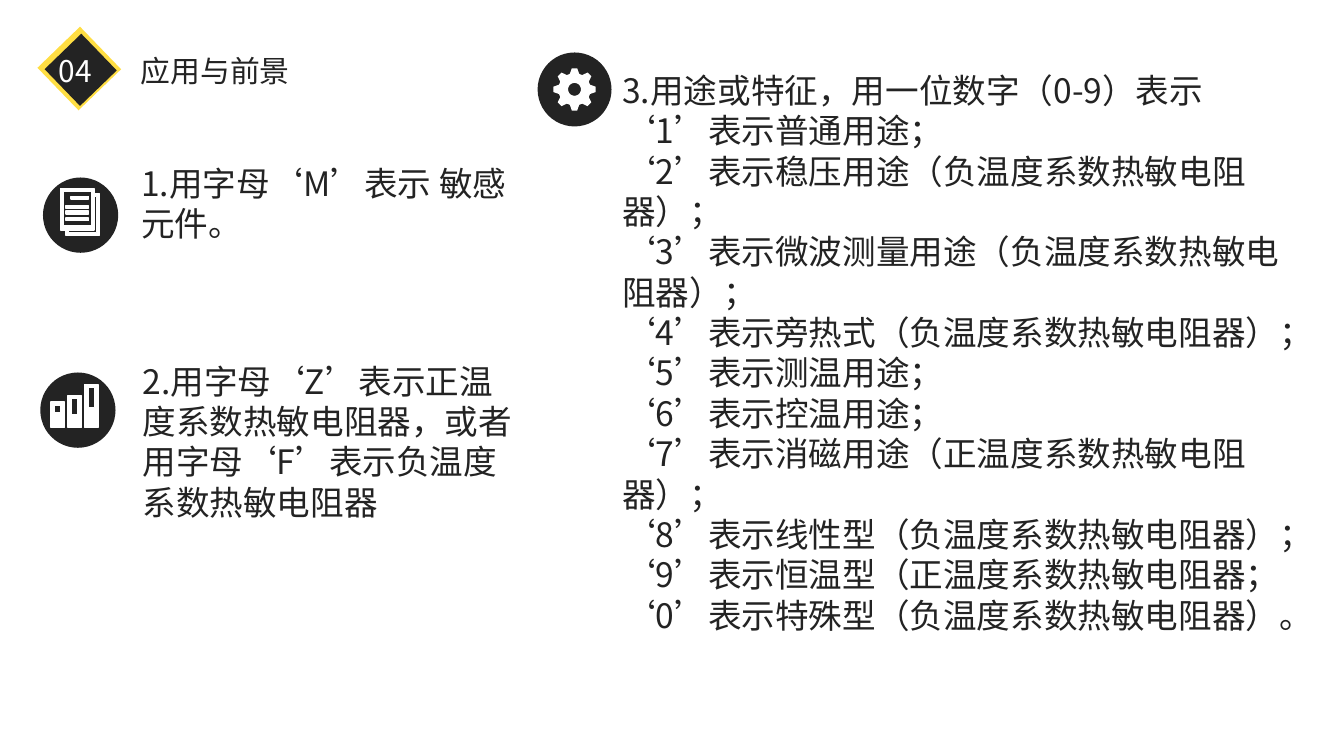
from dataclasses import dataclass
from math import cos, pi, sin

from lxml import etree
from pptx import Presentation
from pptx import util as u
from pptx.dml.color import RGBColor
from pptx.enum import shapes, text
from pptx.oxml.ns import qn

DARK = RGBColor(0x23, 0x23, 0x23)
GOLD = RGBColor(0xFF, 0xDE, 0x43)
WHITE = RGBColor(0xFF, 0xFF, 0xFF)
FACE = "Noto Sans CJK SC"
CELL = u.Inches(0.1)  # the slide is a grid of 100 columns by 55.1 rows
COLS, ROWS = 100, 55.1
FINE = 100  # outline steps in one cell

Point = tuple[float, float]
Ring = list[Point]


@dataclass
class Box:
    col: float
    row: float
    wide: float
    high: float

    def emu(self) -> list[int]:
        return [round(n * CELL) for n in (self.col, self.row, self.wide, self.high)]

    def ring(self) -> Ring:
        right, low = self.col + self.wide, self.row + self.high
        return [(self.col, self.row), (right, self.row), (right, low), (self.col, low)]


@dataclass
class Note:
    box: Box
    lines: list[str]
    size: int = 18
    color: RGBColor = DARK
    wrap: bool = True
    pad: Point = (0.7, 0.4)


def paint(shape, fill: RGBColor, edge: float = 0) -> None:
    shape.shadow.inherit = False
    shape.fill.solid()
    shape.fill.fore_color.rgb = fill
    if edge:
        shape.line.color.rgb = fill
        shape.line.width = u.Pt(edge)
    else:
        shape.line.fill.background()


def solid(slide, kind, box: Box, fill: RGBColor, turn: float = 0) -> None:
    shape = slide.shapes.add_shape(kind, *box.emu())
    shape.rotation = turn
    paint(shape, fill)


def trace(slide, rings: list[Ring], edge: float = 0.75) -> None:
    """Draw one white outline; rings after the first are holes."""
    fine = [[(x * FINE, y * FINE) for x, y in ring] for ring in rings]
    pen = slide.shapes.build_freeform(*fine[0][0], scale=CELL / FINE)
    pen.add_line_segments(fine[0][1:], close=True)
    for ring in fine[1:]:
        pen.move_to(*ring[0])
        pen.add_line_segments(ring[1:], close=True)
    paint(pen.convert_to_shape(), WHITE, edge)


def write(slide, note: Note) -> None:
    frame = slide.shapes.add_textbox(*note.box.emu()).text_frame
    frame.word_wrap = note.wrap
    frame.auto_size = text.MSO_AUTO_SIZE.NONE
    side, top = (round(n * CELL) for n in note.pad)
    frame.margin_left = frame.margin_right = side
    frame.margin_top = frame.margin_bottom = top
    frame.text = "\n".join(note.lines)
    for para in frame.paragraphs:
        para.line_spacing = u.Pt(note.size * 1.2)
        font = para.font
        font.size = u.Pt(note.size)
        font.color.rgb = note.color
        font.name = FACE
        etree.SubElement(font._element, qn("a:ea")).set("typeface", FACE)


def gear(mid: Point, teeth: int = 8) -> list[Ring]:
    x, y = mid
    rim = []
    for k in range(teeth):
        a = 2 * pi * k / teeth
        for side, out in ((-0.35, 1.15), (-0.2, 1.57), (0.2, 1.57), (0.35, 1.15)):
            rim.append((x + out * sin(a) + side * cos(a),
                        y - out * cos(a) + side * sin(a)))
    hole = [(x + 0.48 * cos(pi * k / 16), y + 0.48 * sin(pi * k / 16))
            for k in range(32)]
    return [rim, hole]


DISCS = [Box(40, 3.9, 5.5, 5.5), Box(3, 27.7, 5.6, 5.6), Box(3.2, 13.2, 5.6, 5.6)]

# Bars stand on one base line; each has a window near its top
BASE = 31.8
BARS = [(3.8, 29.9, 0.6), (5.05, 29.4, 1.2), (6.3, 28.6, 1.5)]

PAGES = [
    [(4.5, 14), (7, 14), (7, 14.4), (7.4, 14.4),
     (7.4, 17.5), (4.9, 17.5), (4.9, 17.1), (4.5, 17.1)],
    Box(4.7, 14.2, 2.1, 2.6).ring(),
    [(7, 14.6), (7.2, 14.6), (7.2, 17.3), (5.1, 17.3), (5.1, 17.1), (7, 17.1)],
]
RULES = [(5.3, 14.6), (4.9, 15.3), (4.9, 15.7), (4.9, 16.2)]

NOTES = [
    Note(Box(9.8, 11.7, 30.3, 6.8), ["1.用字母‘M’表示 敏感元件。"]),
    Note(Box(9.9, 26.4, 29.9, 12.9),
         ["2.用字母‘Z’表示正温度系数热敏电阻器，或者用字母‘F’表示负温度系数热敏电阻器"]),
    Note(Box(45.6, 4.8, 51.9, 43.2), [
        "3.用途或特征，用一位数字（0-9）表示",
        "‘1’表示普通用途；",
        "‘2’表示稳压用途（负温度系数热敏电阻器）；",
        "‘3’表示微波测量用途（负温度系数热敏电阻器）；",
        "‘4’表示旁热式（负温度系数热敏电阻器）；",
        "‘5’表示测温用途；",
        "‘6’表示控温用途；",
        "‘7’表示消磁用途（正温度系数热敏电阻器）；",
        "‘8’表示线性型（负温度系数热敏电阻器）；",
        "‘9’表示恒温型（正温度系数热敏电阻器；",
        "‘0’表示特殊型（负温度系数热敏电阻器）。",
    ]),
]
HEADS = [
    Note(Box(3.4, 3.4, 4.6, 3.7), ["04"], 16, WHITE, False, (1, 0.5)),
    Note(Box(9.5, 3.4, 13.2, 3.7), ["应用与前景"], 16, DARK, False, (1, 0.5)),
]


def main() -> None:
    deck = Presentation()
    deck.slide_width, deck.slide_height = round(COLS * CELL), round(ROWS * CELL)
    slide = deck.slides.add_slide(deck.slide_layouts[6])
    kinds = shapes.MSO_SHAPE

    # Icons on dark discs
    for disc in DISCS:
        solid(slide, kinds.OVAL, disc, DARK)
    trace(slide, gear((42.75, 6.65)), edge=0)
    for left, top, drop in BARS:
        bar = Box(left, top, 1, BASE - top)
        gap = Box(left + 0.25, top + 0.22, 0.5, drop)
        trace(slide, [bar.ring(), gap.ring()])
    trace(slide, PAGES)
    for left, top in RULES:
        trace(slide, [Box(left, top, 6.6 - left, 0.2).ring()])

    # Body text
    for note in NOTES:
        write(slide, note)

    # Numbered diamond and heading
    solid(slide, kinds.RECTANGLE, Box(3.7, 2.9, 4.4, 4.4), GOLD, 46)
    solid(slide, kinds.RECTANGLE, Box(4.1, 3.3, 3.8, 3.8), DARK, 46)
    for head in HEADS:
        write(slide, head)

    deck.save("out.pptx")


if __name__ == "__main__":
    main()
